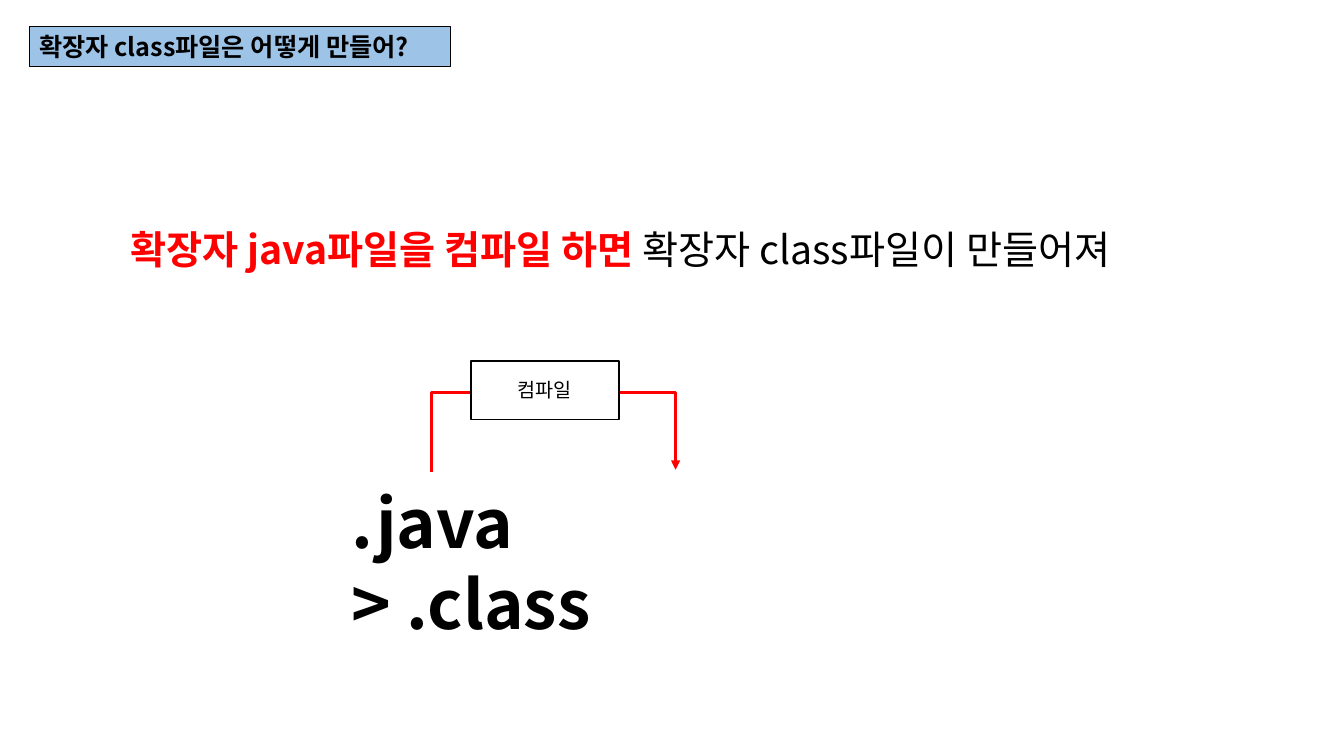
from dataclasses import dataclass

from lxml.etree import SubElement
from pptx import Presentation
from pptx.dml.color import RGBColor
from pptx.enum.shapes import MSO_CONNECTOR as CONN, MSO_SHAPE as SHAPE
from pptx.enum.text import MSO_ANCHOR as ANCHOR, PP_ALIGN as ALIGN
from pptx.oxml.ns import qn
from pptx.util import Inches, Pt

BLACK = RGBColor(0x00, 0x00, 0x00)
WHITE = RGBColor(0xFF, 0xFF, 0xFF)
RED = RGBColor(0xFF, 0x00, 0x00)
BLUE = RGBColor(0x9D, 0xC3, 0xE6)
FONT = "Noto Sans CJK KR"


@dataclass
class Run:
    text: str
    size: int
    bold: bool = True
    color: RGBColor = BLACK


@dataclass
class Box:
    at: tuple[float, float, float, float]
    runs: list[Run]
    fill: RGBColor | None = None
    border: float = 0
    align: ALIGN = ALIGN.LEFT
    anchor: ANCHOR = ANCHOR.TOP


TITLE = Box((0.29, 0.26, 4.18, 0.4), [Run("확장자 class파일은 어떻게 만들어?", 18)], BLUE, 0.75)
ANSWER = Box((1.2, 2.19, 10.99, 0.57),
             [Run("확장자 java파일을 컴파일 하면 ", 28, color=RED),
              Run("확장자 class파일이 만들어져", 28, bold=False)])
FILES = Box((3.39, 4.73, 4.2, 0.91), [Run(".java > .class", 48)])
COMPILE = Box((4.67, 3.58, 1.47, 0.58), [Run("컴파일", 14, bold=False)],
              WHITE, 1, ALIGN.CENTER, ANCHOR.MIDDLE)


def draw_box(shapes, box: Box) -> None:
    at = [Inches(v) for v in box.at]
    if box.fill is None:
        sp = shapes.add_textbox(*at)
    else:
        sp = shapes.add_shape(SHAPE.RECTANGLE, *at)
        sp.shadow.inherit = False
        sp.fill.solid()
        sp.fill.fore_color.rgb = box.fill
        sp.line.color.rgb = BLACK
        sp.line.width = Pt(box.border)
    tf = sp.text_frame
    tf.word_wrap = True
    tf.vertical_anchor = box.anchor
    p = tf.paragraphs[0]
    p.alignment = box.align
    for run in box.runs:
        r = p.add_run()
        r.text = run.text
        for key, value in {"name": FONT, "size": Pt(run.size), "bold": run.bold}.items():
            setattr(r.font, key, value)
        r.font.color.rgb = run.color
        # Korean glyphs take the East Asian typeface
        SubElement(r.font._element, qn("a:ea"), typeface=FONT)


def draw_bracket_arrow(shapes, start: tuple[float, float], end: tuple[float, float],
                       top: float) -> None:
    """Elbow arrow that rises from start to top, crosses, and drops to end."""
    (x1, y1), (x2, y2) = start, end
    cx, cy = (x1 + x2) / 2, (y1 + y2) / 2
    dx, dy = (y1 - y2) / 2, (x2 - x1) / 2
    # Laid out upright, then turned by 90 degrees about its centre
    cxn = shapes.add_connector(CONN.ELBOW, Inches(cx + dx), Inches(cy + dy),
                               Inches(cx - dx), Inches(cy - dy))
    cxn.line.color.rgb = RED
    cxn.line.width = Pt(2.25)
    sp_pr = cxn._element.spPr
    sp_pr.find(qn("a:xfrm")).set("rot", str(90 * 60000))
    bend = round((y1 - top) / (y1 - y2) * 100000)
    guides = sp_pr.find(qn("a:prstGeom")).get_or_add_avLst()
    SubElement(guides, qn("a:gd"), name="adj1", fmla=f"val {bend}")
    SubElement(sp_pr.find(qn("a:ln")), qn("a:tailEnd"), type="triangle")
    SubElement(sp_pr, qn("a:effectLst"))


def main() -> None:
    prs = Presentation()
    prs.slide_width, prs.slide_height = Inches(13.33), Inches(7.5)
    s = prs.slides.add_slide(prs.slide_layouts[6])

    # Question, answer and file extensions
    for box in (TITLE, ANSWER, FILES):
        draw_box(s.shapes, box)

    # Compile step: the label covers the arrow
    draw_bracket_arrow(s.shapes, (4.28, 4.68), (6.7, 4.66), 3.9)
    draw_box(s.shapes, COMPILE)

    prs.save("out.pptx")


if __name__ == "__main__":
    main()
